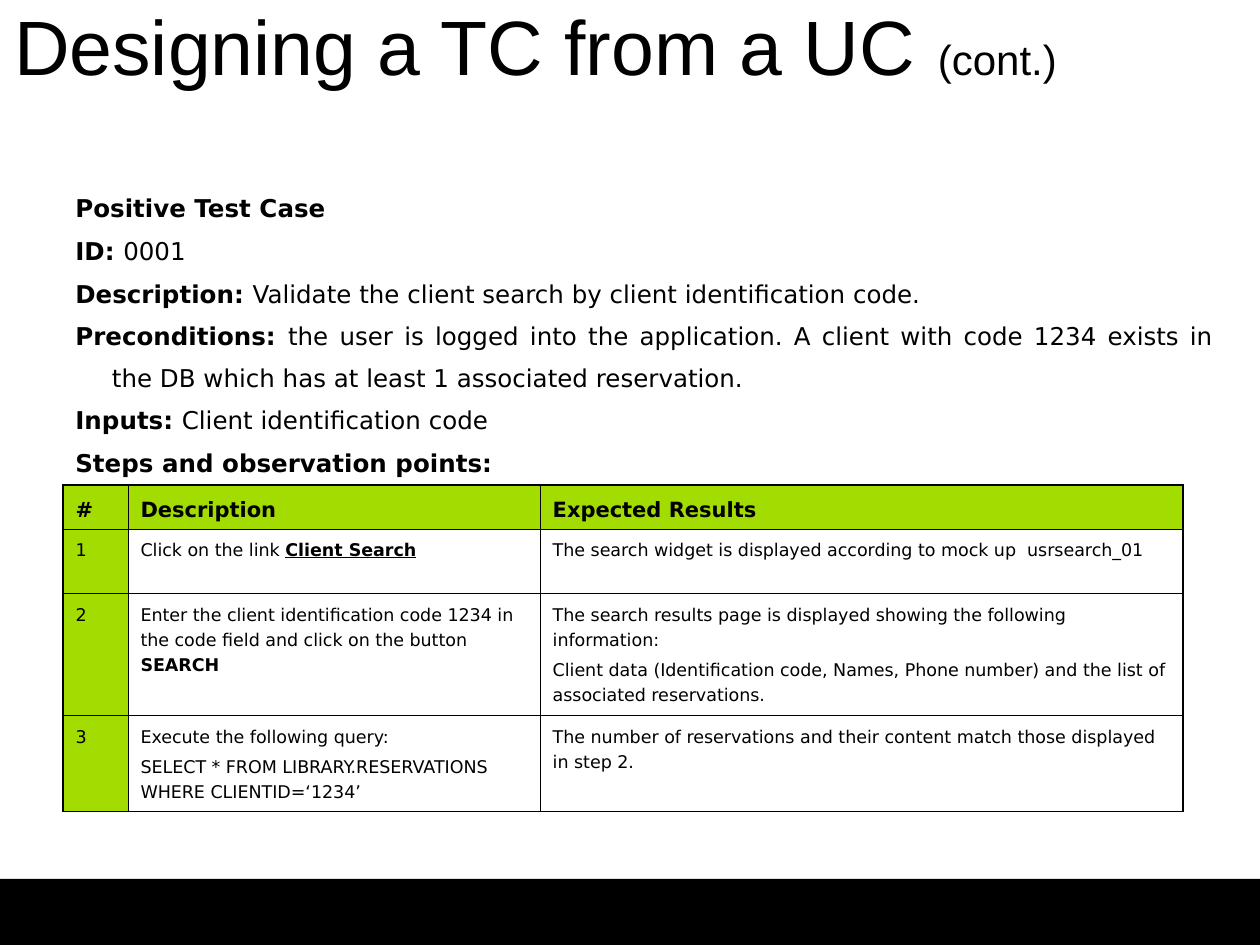
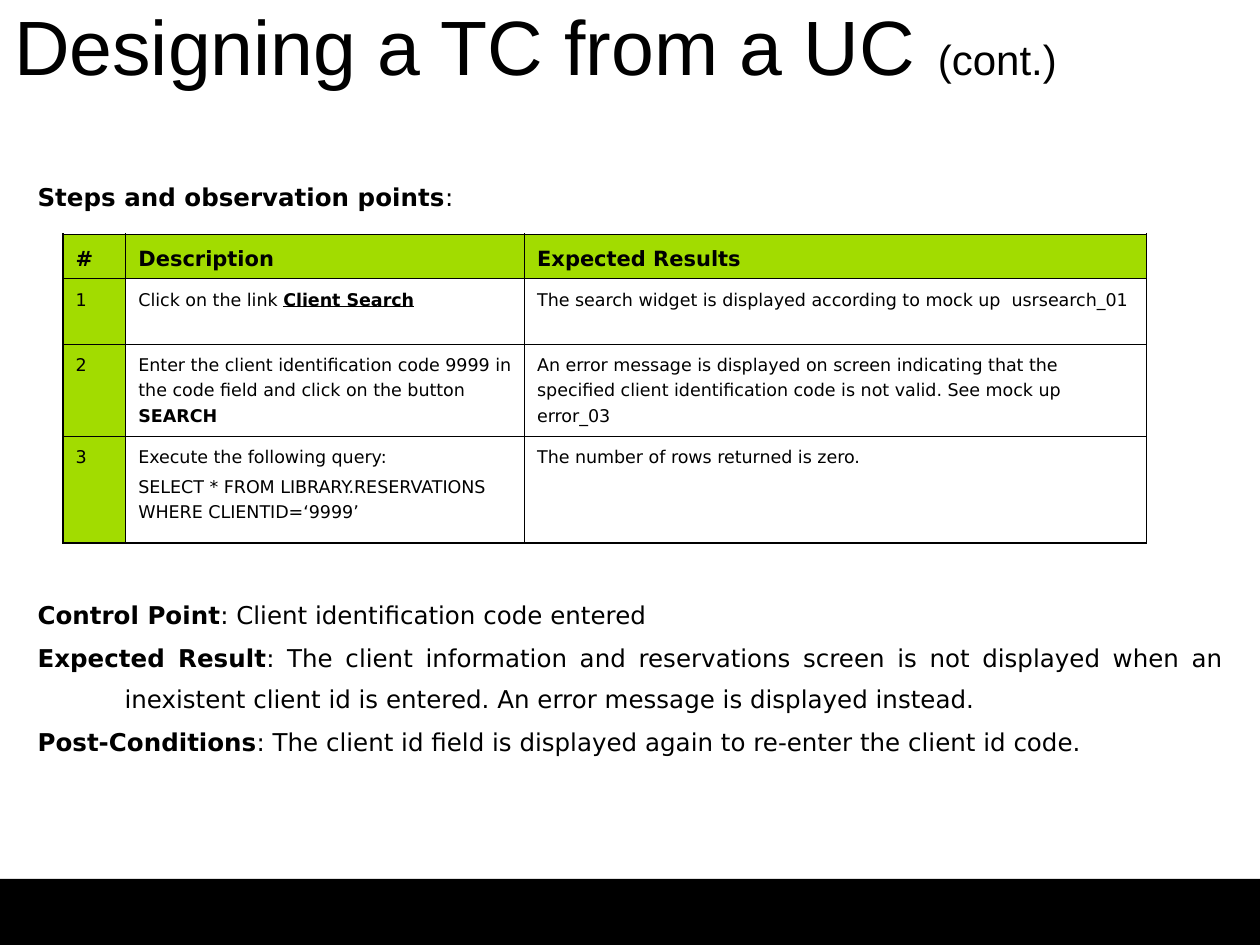
import pptx
import pptx.dml.color
import pptx.enum.shapes
import pptx.enum.text
import pptx.oxml
import pptx.oxml.ns
import pptx.util

Inches, Pt = pptx.util.Inches, pptx.util.Pt
Align, Anchor = pptx.enum.text.PP_ALIGN, pptx.enum.text.MSO_ANCHOR
RGB = pptx.dml.color.RGBColor.from_string

COLORS = {"ink": "000000", "band": "000000", "header": "A2DC00", "paper": "FFFFFF"}
TITLE_FONT, BODY_FONT = "Arial", "DejaVu Sans"
WIDTH, HEIGHT = 10, 7.5
TABLE_LEFT = 0.05 * WIDTH
COLUMN_PERCENTS = (5.8, 36.8, 57.4)
OUTER_LINE, INNER_LINE = 1.08, 0.45


def write(frame, paragraphs, size, line_spacing, gap, align=Align.LEFT, hanging=0):
    """Each paragraph is a list of (text, style); style holds b for bold, u for underline."""
    frame.word_wrap = True
    for number, runs in enumerate(paragraphs):
        paragraph = frame.add_paragraph() if number else frame.paragraphs[0]
        paragraph.alignment = align
        paragraph.line_spacing = line_spacing
        if number:
            paragraph.space_before = Pt(gap)
        if hanging:
            properties = paragraph._p.get_or_add_pPr()
            properties.set("marL", str(Inches(hanging)))
            properties.set("indent", str(-Inches(hanging)))
        paragraph.font.name = BODY_FONT
        paragraph.font.size = Pt(size)
        paragraph.font.color.rgb = RGB(COLORS["ink"])
        for text, style in runs:
            run = paragraph.add_run()
            run.text = text
            run.font.bold = "b" in style
            if "u" in style:
                run.font.underline = True


def draw_borders(cell, widths):
    """Widths are in points for the left, right, top and bottom sides."""
    properties = cell._tc.get_or_add_tcPr()
    for place, (side, width) in enumerate(zip("LRTB", widths)):
        properties.insert(place, pptx.oxml.parse_xml(
            f'<a:ln{side} {pptx.oxml.ns.nsdecls("a")} w="{Pt(width)}"><a:solidFill>'
            f'<a:srgbClr val="{COLORS["ink"]}"/></a:solidFill></a:ln{side}>'))


# Content: text blocks are (left, top, width, height, hanging indent, paragraphs)
test_cases = [
    {
        "code": "1234",
        "table": (3.85, 8.89, (0.35, 0.51, 0.97, 0.76)),
        "search_result": [
            [("The search results page is displayed showing the following information:", "")],
            [("Client data (Identification code, Names, Phone number) and the list of "
              "associated reservations.", "")],
        ],
        "query_result": "The number of reservations and their content match those "
                        "displayed in step 2.",
        "blocks": [
            (0.5, 1.39, 9.23, 4.92, 0.29, [
                [("Positive Test Case", "b")],
                [("ID: ", "b"), ("0001", "")],
                [("Description: ", "b"),
                 ("Validate the client search by client identification code.", "")],
                [("Preconditions: ", "b"),
                 ("the user is logged into the application. A client with code 1234 exists "
                  "in the DB which has at least 1 associated reservation.", "")],
                [("Inputs: ", "b"), ("Client identification code", "")],
                [("Steps and observation points:", "b")],
            ]),
        ],
    },
    {
        "code": "9999",
        "table": (1.86, 8.6, (0.35, 0.52, 0.73, 0.85)),
        "search_result": [
            [("An error message is displayed on screen indicating that the specified client "
              "identification code is not valid. See mock up error_03", "")],
        ],
        "query_result": "The number of rows returned is zero.",
        "blocks": [
            (0.2, 1.3, 9.61, 0.56, 0.69, [
                [("Steps and observation points", "b"), (":", "")],
            ]),
            (0.2, 4.62, 9.61, 2.13, 0.69, [
                [("Control Point", "b"), (": Client identification code entered", "")],
                [("Expected Result", "b"),
                 (": The client information and reservations screen is not displayed when an "
                  "inexistent client id is entered. An error message is displayed instead.", "")],
                [("Post-Conditions", "b"),
                 (": The client id field is displayed again to re-enter the client id code.", "")],
            ]),
        ],
    },
]

deck = pptx.Presentation()
deck.slide_width, deck.slide_height = Inches(WIDTH), Inches(HEIGHT)
title_only = deck.slide_layouts[5]

for case in test_cases:
    slide = deck.slides.add_slide(title_only)

    # Bottom band
    band_top = 0.93 * HEIGHT
    band = slide.shapes.add_shape(
        pptx.enum.shapes.MSO_SHAPE.RECTANGLE,
        0, Inches(band_top), Inches(WIDTH), Inches(HEIGHT - band_top))
    band.shadow.inherit = False
    band.fill.solid()
    band.fill.fore_color.rgb = RGB(COLORS["band"])
    band.line.fill.background()

    # Title
    title = slide.shapes.title
    title.left, title.top = 0, Inches(-0.12)
    title.width, title.height = Inches(0.85 * WIDTH), Inches(0.95)
    heading = title.text_frame
    heading.margin_left = heading.margin_right = 0
    heading.vertical_anchor = Anchor.MIDDLE
    heading_line = heading.paragraphs[0]
    heading_line.alignment = Align.CENTER
    heading_line.font.name = TITLE_FONT
    heading_line.font.color.rgb = RGB(COLORS["ink"])
    for text, size in (("Designing a TC from a UC ", 44), ("(cont.)", 24)):
        run = heading_line.add_run()
        run.text = text
        run.font.size = Pt(size)

    # Text blocks
    for left, top, width, height, hanging, paragraphs in case["blocks"]:
        block = slide.shapes.add_textbox(*map(Inches, (left, top, width, height)))
        write(block.text_frame, paragraphs, 14, 1.4, 0.9, Align.JUSTIFY, hanging)

    # Steps table
    code = case["code"]
    steps = [
        [[[(label, "b")]] for label in ("#", "Description", "Expected Results")],
        [[[("1", "")]],
         [[("Click on the link ", ""), ("Client Search", "bu")]],
         [[("The search widget is displayed according to mock up  usrsearch_01", "")]]],
        [[[("2", "")]],
         [[(f"Enter the client identification code {code} in the code field and click on "
            "the button ", ""), ("SEARCH", "b")]],
         case["search_result"]],
        [[[("3", "")]],
         [[("Execute the following query:", "")],
          [(f"SELECT * FROM LIBRARY.RESERVATIONS WHERE CLIENTID=‘{code}’", "")]],
         [[(case["query_result"], "")]]],
    ]
    table_top, table_width, row_heights = case["table"]
    table = slide.shapes.add_table(
        len(steps), len(COLUMN_PERCENTS), Inches(TABLE_LEFT), Inches(table_top),
        Inches(table_width), Inches(sum(row_heights))).table
    for column, percent in zip(table.columns, COLUMN_PERCENTS):
        column.width = Inches(table_width * percent / 100)
    last_row, last_column = len(steps) - 1, len(COLUMN_PERCENTS) - 1
    for r, step in enumerate(steps):
        table.rows[r].height = Inches(row_heights[r])
        for c, paragraphs in enumerate(step):
            cell = table.cell(r, c)
            cell.fill.solid()
            cell.fill.fore_color.rgb = RGB(COLORS["paper" if r and c else "header"])
            size, gap = (10, 2.5) if r else (12, 3)
            write(cell.text_frame, paragraphs, size, 1.25, gap)
            on_edge = (c == 0, c == last_column, r == 0, r == last_row)
            draw_borders(cell, [OUTER_LINE if edge else INNER_LINE for edge in on_edge])

deck.save("out.pptx")
